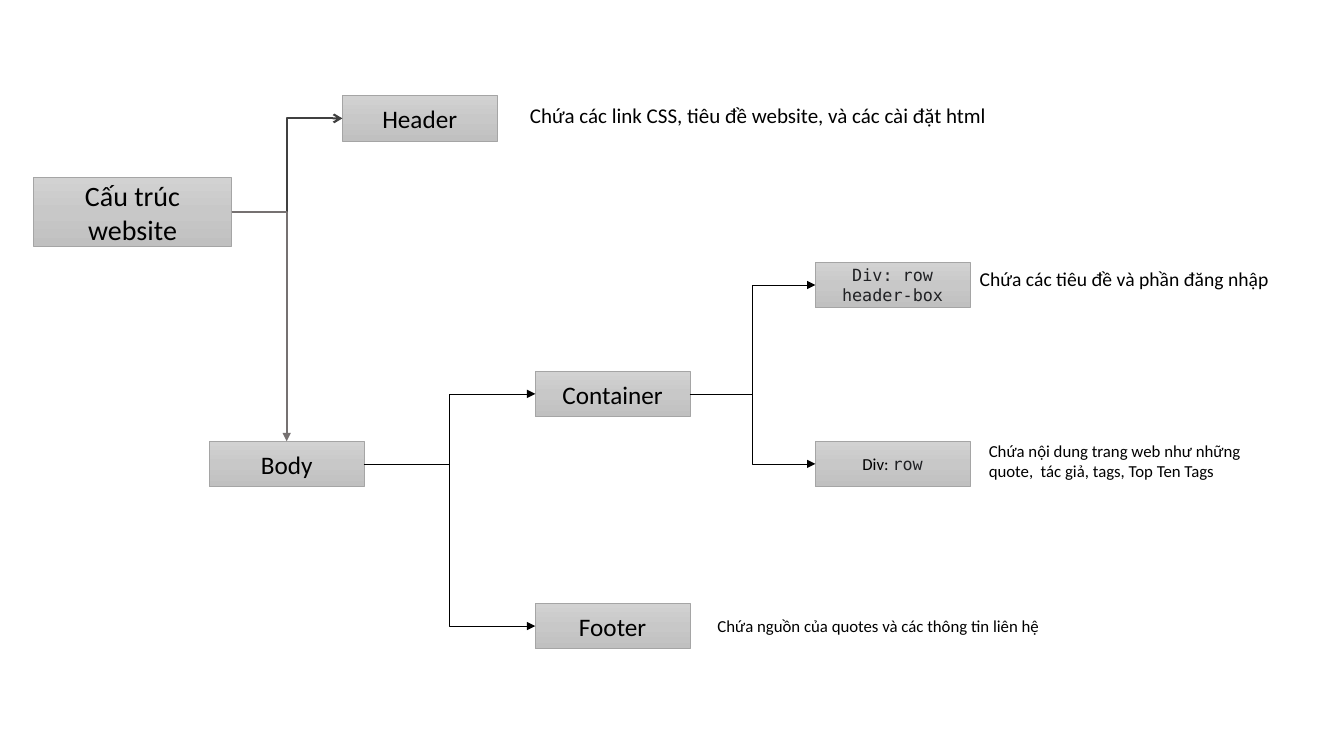
from copy import deepcopy
from dataclasses import dataclass

from lxml.etree import SubElement
from pptx import Presentation
from pptx.dml.color import RGBColor
from pptx.enum.shapes import MSO_CONNECTOR as Connector, MSO_SHAPE as Preset
from pptx.enum.text import MSO_ANCHOR as Anchor, MSO_AUTO_SIZE as AutoSize, PP_ALIGN as Align
from pptx.oxml.ns import qn
from pptx.shapes.autoshape import Shape
from pptx.slide import Slide
from pptx.text.text import TextFrame
from pptx.util import Pt

COLORS = {
    "top": "D2D2D2", "middle": "C8C8C8", "bottom": "C0C0C0", "border": "A5A5A5",
    "text": "000000", "code": "202124", "header_link": "404040", "body_link": "767171",
}
SANS, MONO = "Calibri", "DejaVu Sans Mono"
NODE_WIDTH, NODE_HEIGHT = 110.4, 32.4
TOP, LEFT, RIGHT = 0, 1, 3  # connection sites of a rectangle


@dataclass
class Words:
    text: str
    size: float = 18
    font: str = SANS
    color: str = "text"


@dataclass
class Node:
    name: str
    left: float
    top: float
    words: list[Words]
    width: float = NODE_WIDTH
    height: float = NODE_HEIGHT


@dataclass
class Note:
    left: float
    top: float
    width: float
    height: float
    words: Words
    wrap: bool = True


@dataclass
class Link:
    start: str
    end: str
    color: str = "text"
    weight: float = 0.5
    head: str = "triangle"
    end_site: int = LEFT


NODES = [
    Node("root", 24, 126.8, [Words("Cấu trúc website", 20)], 141.4, 49.4),
    Node("header", 244.6, 68.4, [Words("Header")]),
    Node("body", 149.6, 315.2, [Words("Body")]),
    Node("container", 382.4, 265.2, [Words("Container")]),
    Node("footer", 382.4, 431, [Words("Footer")]),
    Node("header_row", 582.4, 187.4, [Words("Div: row header-box", 12, MONO, "code")]),
    Node("row", 582.4, 315.2, [Words("Div: ", 12), Words("row", 12, MONO, "code")]),
]

NOTES = [
    Note(371.4, 70, 343.4, 25.4,
         Words("Chứa các link CSS, tiêu đề website, và các cài đặt html", 15), wrap=False),
    Note(692.6, 187.4, 231.8, 24.2, Words("Chứa các tiêu đề và phần đăng nhập", 14)),
    Note(699.2, 311, 206, 36,
         Words("Chứa nội dung trang web như những quote,  tác giả, tags, Top Ten Tags", 12)),
    Note(505.4, 436.4, 247, 21.8,
         Words("Chứa nguồn của quotes và các thông tin liên hệ", 12), wrap=False),
]

LINKS = [
    Link("root", "header", "header_link", 1.5, "arrow"),
    Link("root", "body", "body_link", 1.5, end_site=TOP),
    Link("body", "container"),
    Link("body", "footer"),
    Link("container", "header_row"),
    Link("container", "row"),
]


def rgb(name: str) -> RGBColor:
    return RGBColor.from_string(COLORS[name])


def write(frame: TextFrame, words: list[Words], align: Align, **frame_format) -> None:
    for key, value in frame_format.items():
        setattr(frame, key, value)
    para = frame.paragraphs[0]
    para.alignment = align
    for part in words:
        span = para.add_run()
        span.text = part.text
        span.font.color.rgb = rgb(part.color)
        for key, value in {"size": Pt(part.size), "name": part.font}.items():
            setattr(span.font, key, value)


def shade(box: Shape) -> None:
    """Fill the box with a three-stop gradient running downwards."""
    box.fill.gradient()
    box.fill.gradient_angle = 270
    stop_list = box.element.spPr.find(qn("a:gradFill")).find(qn("a:gsLst"))
    stop_list.append(deepcopy(stop_list[-1]))
    stops = zip(box.fill.gradient_stops, ("top", "middle", "bottom"), (0, 0.5, 1))
    for stop, color, position in stops:
        stop.position = position
        stop.color.rgb = rgb(color)


def draw_node(page: Slide, node: Node) -> Shape:
    box = page.shapes.add_shape(Preset.RECTANGLE, Pt(node.left), Pt(node.top),
                                Pt(node.width), Pt(node.height))
    box.shadow.inherit = False
    shade(box)
    box.line.color.rgb = rgb("border")
    box.line.width = Pt(0.5)
    write(box.text_frame, node.words, Align.CENTER,
          word_wrap=True, vertical_anchor=Anchor.MIDDLE)
    return box


def draw_note(page: Slide, note: Note) -> None:
    box = page.shapes.add_textbox(Pt(note.left), Pt(note.top), Pt(note.width), Pt(note.height))
    write(box.text_frame, [note.words], Align.LEFT,
          word_wrap=note.wrap, auto_size=AutoSize.SHAPE_TO_FIT_TEXT)


def draw_link(page: Slide, link: Link, boxes: dict[str, Shape]) -> None:
    line = page.shapes.add_connector(Connector.ELBOW, 0, 0, 0, 0)
    line.begin_connect(boxes[link.start], RIGHT)
    line.end_connect(boxes[link.end], link.end_site)
    line.line.color.rgb = rgb(link.color)
    line.line.width = Pt(link.weight)
    properties = line._element.spPr
    if link.end_site == TOP:  # a single bend
        properties.find(qn("a:prstGeom")).set("prst", "bentConnector2")
    SubElement(properties.find(qn("a:ln")), qn("a:tailEnd"), type=link.head)
    SubElement(properties, qn("a:effectLst"))


deck = Presentation()
deck.slide_width, deck.slide_height = Pt(960), Pt(540)
page = deck.slides.add_slide(deck.slide_layouts[6])

# Website parts
boxes = {node.name: draw_node(page, node) for node in NODES}

# Tree branches
for link in LINKS:
    draw_link(page, link, boxes)

# Explanations
for note in NOTES:
    draw_note(page, note)

deck.save("out.pptx")
